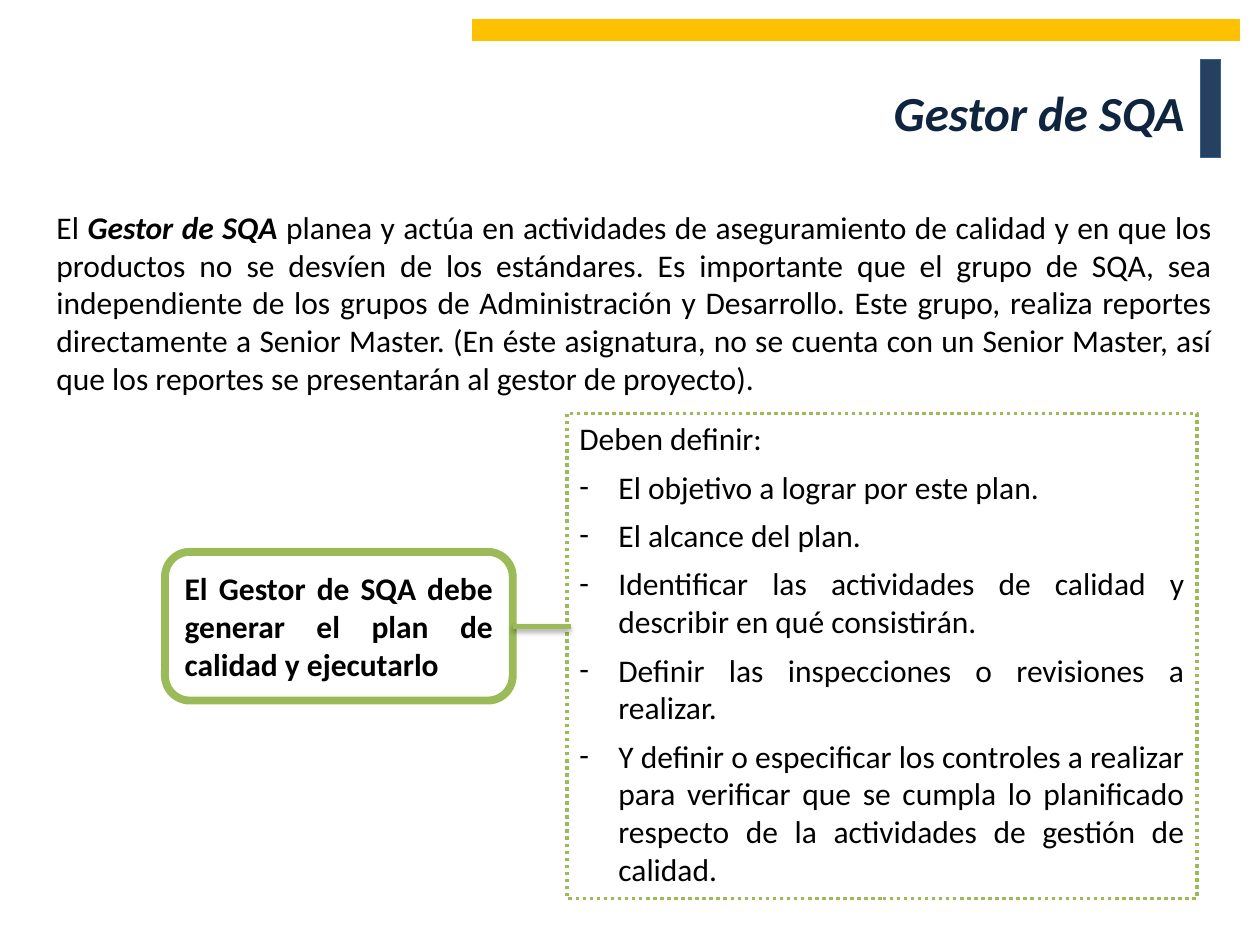
"""Build the slide that describes the SQA manager and the quality plan."""
from lxml.etree import SubElement
from pptx import Presentation
from pptx.dml.color import RGBColor
from pptx.enum.dml import MSO_LINE_DASH_STYLE as Dash
from pptx.enum.shapes import MSO_CONNECTOR, MSO_SHAPE as Shape
from pptx.enum.text import MSO_ANCHOR as Anchor, PP_ALIGN as Align
from pptx.oxml.ns import qn
from pptx.util import Inches, Pt

FONT = "Calibri"
BLACK = RGBColor(0x00, 0x00, 0x00)
WHITE = RGBColor(0xFF, 0xFF, 0xFF)
NAVY = RGBColor(0x0F, 0x24, 0x3E)
BLUE = RGBColor(0x25, 0x40, 0x61)
BLUE_EDGE = RGBColor(0x37, 0x60, 0x92)
GOLD = RGBColor(0xFF, 0xC0, 0x00)
GREEN = RGBColor(0x9B, 0xBB, 0x59)

TITLE = "Gestor de SQA"
INTRO = [
    ("El ", False),
    ("Gestor de SQA ", True),
    ("planea y actúa en actividades de aseguramiento de calidad y en que los "
     "productos no se desvíen de los estándares. Es importante que el grupo de "
     "SQA, sea independiente de los grupos de Administración y Desarrollo. Este "
     "grupo, realiza reportes directamente a Senior Master. (En éste asignatura, "
     "no se cuenta con un Senior Master, así que los reportes se presentarán al "
     "gestor de proyecto).", False),
]
DUTY = "El Gestor de SQA debe generar el plan de calidad y ejecutarlo"
PLAN_HEADING = "Deben definir:"
PLAN_ITEMS = [
    "El objetivo a lograr por este plan.",
    "El alcance del plan.",
    "Identificar las actividades de calidad y describir en qué consistirán.",
    "Definir las inspecciones o revisiones a realizar.",
    "Y definir o especificar los controles a realizar para verificar que se "
    "cumpla lo planificado respecto de la actividades de gestión de calidad.",
]

BARS = [
    ((9.53, 0.47, 0.16, 0.78), BLUE, BLUE_EDGE),
    ((3.75, 0.16, 6.09, 0.16), GOLD, GOLD),
]
INTRO_AREA = (0.35, 1.6, 9.37, 1.92)
TITLE_AREA = (4.06, 0.38, 5.44, 1.01)
DUTY_AREA = (1.31, 4.38, 2.76, 1.18)
PLAN_AREA = (4.5, 3.28, 5, 3.85)
LINK_OVERLAP = 0.03
INDENT = Inches(0.31)


def add_panel(page, kind, area, fill, edge, width):
    box = page.shapes.add_shape(kind, *map(Inches, area))
    box.shadow.inherit = False
    box.fill.solid()
    box.fill.fore_color.rgb = fill
    box.line.color.rgb = edge
    box.line.width = Pt(width)
    return box


def add_textbox(page, area):
    return page.shapes.add_textbox(*map(Inches, area))


def write(box, paragraphs, anchor=Anchor.TOP, align=Align.JUSTIFY, size=18,
          color=BLACK, bold=False, italic=False, after=0):
    frame = box.text_frame
    frame.word_wrap = True
    frame.vertical_anchor = anchor
    frame.text = "\n".join(paragraphs)
    for para in frame.paragraphs:
        para.alignment = align
        para.space_after = Pt(after)
        for span in para.runs:
            style(span, size, color, bold, italic)
    return frame


def style(span, size, color, bold, italic):
    span.font.name = FONT
    span.font.size = Pt(size)
    span.font.color.rgb = color
    span.font.bold = bold
    span.font.italic = italic


def add_dash(para):
    properties = para._p.get_or_add_pPr()
    properties.set("marL", str(INDENT))
    properties.set("indent", str(-INDENT))
    SubElement(properties, qn("a:buFont"), typeface=FONT)
    SubElement(properties, qn("a:buChar"), char="-")


def add_link(page, start, end, y):
    link = page.shapes.add_connector(
        MSO_CONNECTOR.STRAIGHT, *map(Inches, (start, y, end, y)))
    link.line.color.rgb = GREEN
    link.line.width = Pt(3)
    effects = SubElement(link._element.spPr, qn("a:effectLst"))
    shadow = SubElement(effects, qn("a:outerShdw"), blurRad=str(Pt(3.1)),
                        dist=str(Pt(1.8)), dir="5400000", rotWithShape="0")
    tint = SubElement(shadow, qn("a:srgbClr"), val=str(BLACK))
    SubElement(tint, qn("a:alpha"), val="35000")


def main():
    deck = Presentation()
    deck.slide_width, deck.slide_height = Inches(10), Inches(7.5)
    page = deck.slides.add_slide(deck.slide_layouts[6])

    for area, fill, edge in BARS:
        add_panel(page, Shape.RECTANGLE, area, fill, edge, 0.75)

    intro = write(add_textbox(page, INTRO_AREA), [""]).paragraphs[0]
    for text, strong in INTRO:
        span = intro.add_run()
        span.text = text
        style(span, 18, BLACK, strong, strong)

    write(add_textbox(page, TITLE_AREA), [TITLE], Anchor.MIDDLE, Align.RIGHT,
          size=28, color=NAVY, bold=True, italic=True)

    duty = add_panel(page, Shape.ROUNDED_RECTANGLE, DUTY_AREA, WHITE, GREEN, 4.5)
    write(duty, [DUTY], Anchor.MIDDLE, bold=True)

    plan = add_panel(page, Shape.RECTANGLE, PLAN_AREA, WHITE, GREEN, 2)
    plan.line.dash_style = Dash.ROUND_DOT
    frame = write(plan, [PLAN_HEADING, *PLAN_ITEMS], after=6)
    for para in frame.paragraphs[1:]:
        add_dash(para)

    left, top, width, height = DUTY_AREA
    add_link(page, left + width, PLAN_AREA[0] + LINK_OVERLAP, top + height / 2)
    deck.save("out.pptx")


if __name__ == "__main__":
    main()
